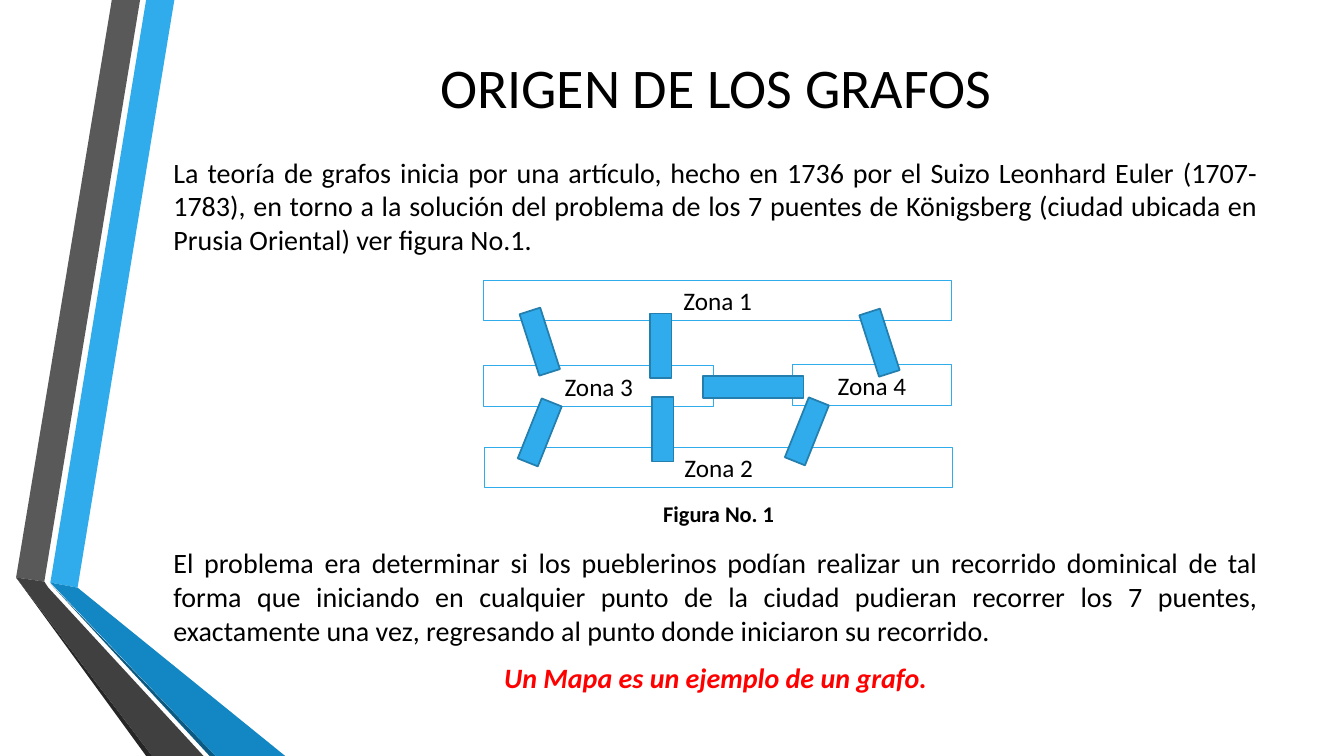
"""Build the slide on the origin of graphs and the seven bridges."""
import dataclasses
import typing

import lxml.etree
import pptx
import pptx.dml.color
import pptx.enum.shapes
import pptx.enum.text
import pptx.oxml.ns
import pptx.util

RGBColor = pptx.dml.color.RGBColor
Align = pptx.enum.text.PP_ALIGN
Anchor = pptx.enum.text.MSO_ANCHOR
RECTANGLE = pptx.enum.shapes.MSO_SHAPE.RECTANGLE

BLACK = RGBColor(0x00, 0x00, 0x00)
RED = RGBColor(0xFF, 0x00, 0x00)
SKY = RGBColor(0x30, 0xAC, 0xEC)
SKY_EDGE = RGBColor(0x24, 0x7F, 0xAF)
BLUE = RGBColor(0x12, 0x87, 0xC3)
NAVY = RGBColor(0x0C, 0x5A, 0x82)
GRAY = RGBColor(0x59, 0x59, 0x59)
CHARCOAL = RGBColor(0x40, 0x40, 0x40)
SOOT = RGBColor(0x26, 0x26, 0x26)

FONT = "Calibri"
CELL = pptx.util.Inches(0.1)
COLUMNS, ROWS = 133.33, 75
TEXT_LEFT, TEXT_WIDTH = 16.2, 109.6
ZONE_HEIGHT = 4
BRIDGE_WIDTH, BRIDGE_LENGTH = 2.15, 6.4
LEAN_LEFT, LEAN_RIGHT = -17.8, 21.8


@dataclasses.dataclass(frozen=True)
class Ribbon:
    """A filled outline given by its corners in grid cells."""
    color: RGBColor
    corners: tuple[tuple[float, float], ...]


@dataclasses.dataclass(frozen=True)
class Zone:
    """A land area of the city."""
    name: str
    column: float
    row: float
    columns: float


@dataclasses.dataclass(frozen=True)
class Bridge:
    """A bridge given by its centre, turn and length."""
    column: float
    row: float
    turn: float = 0
    length: float = BRIDGE_LENGTH


RIBBONS = (
    Ribbon(SKY, ((5, 57.8), (7.7, 58.3), (17.3, 0), (14.5, 0))),
    Ribbon(GRAY, ((13.9, 0), (11.1, 0), (1.6, 57.3), (4.4, 57.7))),
    Ribbon(SOOT, ((1.6, 57.3), (14.5, ROWS), (15.1, ROWS))),
    Ribbon(NAVY, ((5, 57.9), (20.8, ROWS), (21.4, ROWS))),
    Ribbon(BLUE, ((5, 57.8), (21.4, ROWS), (28.3, ROWS), (7.7, 58.3))),
    Ribbon(CHARCOAL, ((20.2, ROWS), (4.8, 58.3), (4.4, 57.7), (1.6, 57.3), (15.1, ROWS))),
)
ZONES = (
    Zone("Zona 1", 48, 27.8, 46.4),
    Zone("Zona 3", 48, 36.3, 22.8),
    Zone("Zona 2", 48.1, 44.4, 46.4),
    Zone("Zona 4", 78.6, 36.2, 15.8),
)
BRIDGES = (
    Bridge(53.55, 33.9, LEAN_LEFT),
    Bridge(65.55, 34.3),
    Bridge(53.55, 42.9, LEAN_RIGHT),
    Bridge(65.75, 42.6),
    Bridge(87.25, 34, LEAN_LEFT),
    Bridge(80.05, 42.8, LEAN_RIGHT),
    Bridge(74.7, 38.4, 90, 10),
)
HISTORY = (
    "La teoría de grafos inicia por una artículo, hecho en 1736 por el Suizo Leonhard "
    "Euler (1707-1783), en torno a la solución del problema de los 7 puentes de "
    "Königsberg (ciudad ubicada en Prusia Oriental) ver figura No.1."
)
PROBLEM = (
    "El problema era determinar si los pueblerinos podían realizar un recorrido "
    "dominical de tal forma que iniciando en cualquier punto de la ciudad pudieran "
    "recorrer los 7 puentes, exactamente una vez, regresando al punto donde iniciaron "
    "su recorrido."
)


def cells(*counts: float) -> list[int]:
    """Turn grid counts into slide lengths."""
    return [round(count * CELL) for count in counts]


def place(box: typing.Any, *counts: float) -> None:
    """Move a box to a left, top, width and height in grid cells."""
    box.left, box.top, box.width, box.height = cells(*counts)


def write(para: typing.Any, text: str, *, size: float, color: RGBColor = BLACK,
          bold: bool = False, italic: bool = False, align: Align = Align.CENTER,
          before: float = 0, after: float = 0) -> None:
    """Fill a paragraph with one formatted span."""
    para.alignment = align
    para.space_before = pptx.util.Pt(before)
    para.space_after = pptx.util.Pt(after)
    span = para.add_run()
    span.text = text
    span.font.name = FONT
    span.font.size = pptx.util.Pt(size)
    span.font.bold, span.font.italic = bold, italic
    span.font.color.rgb = color


def remove_bullet(para: typing.Any) -> None:
    """Take the bullet and indent off a paragraph."""
    properties = para._p.get_or_add_pPr()
    properties.set("marL", "0")
    properties.set("indent", "0")
    lxml.etree.SubElement(properties, pptx.oxml.ns.qn("a:buNone"))


def set_frame(box: typing.Any, anchor: Anchor) -> typing.Any:
    """Wrap and anchor the text of a box and return its frame."""
    frame = box.text_frame
    frame.word_wrap = True
    frame.auto_size = pptx.enum.text.MSO_AUTO_SIZE.NONE
    frame.vertical_anchor = anchor
    return frame


def draw_ribbon(group: typing.Any, ribbon: Ribbon) -> None:
    """Draw one ribbon of the side decoration."""
    start, *others = [cells(*corner) for corner in ribbon.corners]
    builder = group.shapes.build_freeform(*start)
    builder.add_line_segments(others, close=True)
    shape = builder.convert_to_shape()
    shape.shadow.inherit = False
    shape.fill.solid()
    shape.fill.fore_color.rgb = ribbon.color
    shape.line.fill.background()


def add_rectangle(group: typing.Any, *counts: float, edge: RGBColor,
                  weight: float) -> typing.Any:
    """Add an outlined rectangle without shadow."""
    shape = group.shapes.add_shape(RECTANGLE, *cells(*counts))
    shape.shadow.inherit = False
    shape.line.color.rgb = edge
    shape.line.width = pptx.util.Pt(weight)
    return shape


def draw_zone(group: typing.Any, zone: Zone) -> None:
    """Draw a named zone."""
    shape = add_rectangle(group, zone.column, zone.row, zone.columns, ZONE_HEIGHT,
                          edge=SKY, weight=0.75)
    shape.fill.background()
    write(set_frame(shape, Anchor.MIDDLE).paragraphs[0], zone.name, size=18)


def draw_bridge(group: typing.Any, bridge: Bridge) -> None:
    """Draw a bridge around its centre."""
    shape = add_rectangle(group, bridge.column - BRIDGE_WIDTH / 2,
                          bridge.row - bridge.length / 2, BRIDGE_WIDTH, bridge.length,
                          edge=SKY_EDGE, weight=1.25)
    shape.fill.solid()
    shape.fill.fore_color.rgb = SKY
    shape.rotation = bridge.turn


def main() -> None:
    """Build and save the deck."""
    deck = pptx.Presentation()
    deck.slide_width, deck.slide_height = cells(COLUMNS, ROWS)
    page = deck.slides.add_slide(deck.slide_layouts[1])

    title, body = page.shapes.title, page.placeholders[1]
    place(title, TEXT_LEFT, 4.1, TEXT_WIDTH, 8.8)
    write(set_frame(title, Anchor.MIDDLE).paragraphs[0], "ORIGEN DE LOS GRAFOS", size=40)

    place(body, TEXT_LEFT, 14.9, TEXT_WIDTH, 58.1)
    frame = set_frame(body, Anchor.TOP)
    history, problem, example = frame.paragraphs[0], frame.add_paragraph(), frame.add_paragraph()
    write(history, HISTORY, size=20, align=Align.JUSTIFY, after=6)
    write(problem, PROBLEM, size=20, align=Align.JUSTIFY, before=201, after=6)
    write(example, "Un Mapa es un ejemplo de un grafo.", size=20, color=RED, bold=True,
          italic=True, before=4, after=6)
    for para in frame.paragraphs:
        remove_bullet(para)

    decoration = page.shapes.add_group_shape()
    for ribbon in RIBBONS:
        draw_ribbon(decoration, ribbon)

    figure = page.shapes.add_group_shape()
    caption = figure.shapes.add_textbox(*cells(54.6, 49.1, 33.4, 3.7))
    write(set_frame(caption, Anchor.TOP).paragraphs[0], "Figura No. 1", size=16, bold=True)
    for zone in ZONES:
        draw_zone(figure, zone)
    for bridge in BRIDGES:
        draw_bridge(figure, bridge)

    deck.save("out.pptx")


if __name__ == "__main__":
    main()
